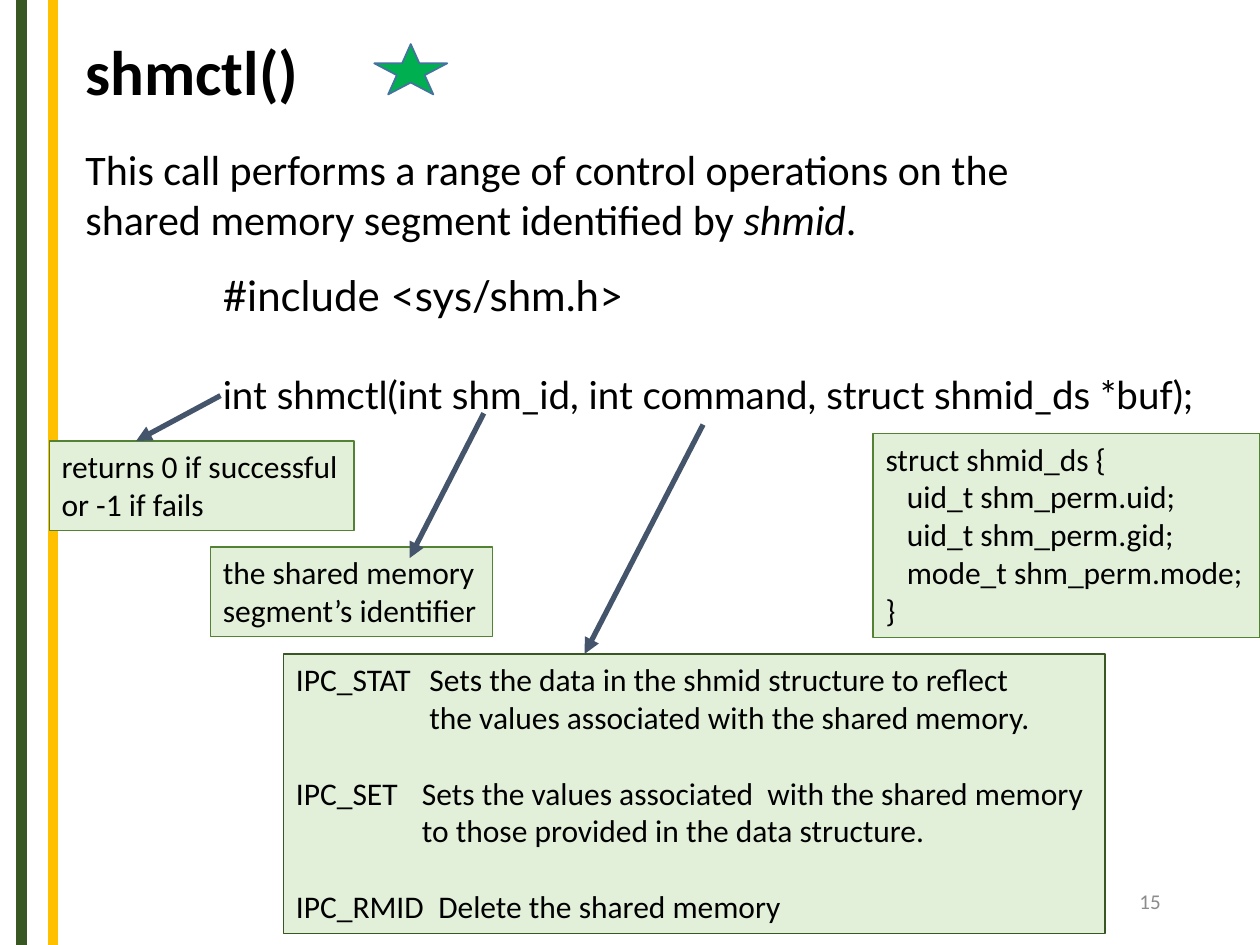
from lxml import etree
from pptx import Presentation
from pptx.dml.color import RGBColor
from pptx.enum.shapes import MSO_CONNECTOR, MSO_SHAPE
from pptx.enum.text import MSO_ANCHOR, PP_ALIGN
from pptx.oxml.ns import qn
from pptx.util import Inches, Pt

STRAIGHT = MSO_CONNECTOR.STRAIGHT
RECTANGLE, STAR = MSO_SHAPE.RECTANGLE, MSO_SHAPE.STAR_5_POINT
TOP, MIDDLE = MSO_ANCHOR.TOP, MSO_ANCHOR.MIDDLE
LEFT, RIGHT = PP_ALIGN.LEFT, PP_ALIGN.RIGHT

COLUMNS, ROWS = 100, 75
WIDTH, HEIGHT = Inches(10), Inches(7.5)
COLORS = {
    "text": "000000", "number": "8C8C8C", "arrow": "44546A",
    "dark green": "385723", "gold": "FFC000", "note fill": "E2F0D9",
    "note line": "548235", "star": "00B050", "star line": "43739E",
}

# Font formats
TITLE = {"name": "Calibri", "size": Pt(36), "bold": True}
BODY = {"name": "Calibri", "size": Pt(24)}
INCLUDE = {"name": "Lato", "size": Pt(24)}
PROTOTYPE = {"name": "Lato", "size": Pt(22)}
NOTE = {"name": "Calibri", "size": Pt(18)}
NUMBER = {"name": "Calibri", "size": Pt(12)}

# Each note: left, top, width, height in grid units, then its lines
NOTES = [
    ((69.3, 34.4, 30.7, 16.2),
     ["struct shmid_ds {", "   uid_t shm_perm.uid;", "   uid_t shm_perm.gid;",
      "   mode_t shm_perm.mode;", "}"]),
    ((16.7, 43.4, 22.4, 7.1), ["the shared memory", "segment’s identifier"]),
    ((3.9, 35, 24.2, 7.1), ["returns 0 if successful", "or -1 if fails"]),
]
# Each command: hanging indent in columns, then its text
COMMANDS = [
    (10.6, "IPC_STAT\tSets the data in the shmid structure to reflect\v"
           "the values associated with the shared memory."),
    (10, "IPC_SET\tSets the values associated  with the shared memory\v"
         "to those provided in the data structure."),
    (11.3, "IPC_RMID\tDelete the shared memory"),
]
ARROWS = [(38.4, 32.8, 32.5, 44.3), (55.8, 33.7, 46.4, 51.9),
          (17.5, 31.4, 10.8, 35)]


def across(columns):
    return round(WIDTH * columns / COLUMNS)


def down(rows):
    return round(HEIGHT * rows / ROWS)


def place(left, top, right, bottom):
    return across(left), down(top), across(right), down(bottom)


def color(name):
    return RGBColor.from_string(COLORS[name])


def apply(target, formats):
    for name, value in formats.items():
        setattr(target, name, value)


def write(box, lines, font, wrap=False, anchor=TOP, ink="text", **layout):
    """Fill a box; a line is a string or a list of (text, font extras)."""
    frame = box.text_frame
    apply(frame, {"word_wrap": wrap, "vertical_anchor": anchor})
    for index, line in enumerate(lines):
        para = frame.add_paragraph() if index else frame.paragraphs[0]
        apply(para, {"alignment": LEFT, **layout})
        if isinstance(line, str):
            para.text = line
            spans = [(span, {}) for span in para.runs]
        else:
            spans = []
            for text, extras in line:
                span = para.add_run()
                span.text = text
                spans.append((span, extras))
        for span, extras in spans:
            apply(span.font, {**font, **extras})
            span.font.color.rgb = color(ink)
    return frame.paragraphs


def add_text(page, area, lines, font, **options):
    return write(page.shapes.add_textbox(*place(*area)), lines, font, **options)


def add_figure(page, preset, area, fill, line, weight):
    figure = page.shapes.add_shape(preset, *place(*area))
    figure.shadow.inherit = False
    figure.fill.solid()
    figure.fill.fore_color.rgb = color(fill)
    figure.line.color.rgb = color(line)
    figure.line.width = Pt(weight)
    return figure


def add_note(page, area, lines, line="note line", **options):
    box = add_figure(page, RECTANGLE, area, "note fill", line, 0.75)
    return write(box, lines, NOTE, **options)


def add_line(page, ends, ink, weight, arrow=False):
    line = page.shapes.add_connector(STRAIGHT, *place(*ends))
    line.line.color.rgb = color(ink)
    line.line.width = Pt(weight)
    properties = line._element.spPr
    if arrow:
        etree.SubElement(properties.find(qn("a:ln")), qn("a:tailEnd"), type="triangle")
    etree.SubElement(properties, qn("a:effectLst"))


def add_commands(page):
    texts = [text for _, text in COMMANDS]
    paras = add_note(page, (22.5, 51.9, 65.2, 22.2), texts,
                     line="dark green", wrap=True)
    for para, (indent, _) in zip(paras, COMMANDS):
        settings = para._p.get_or_add_pPr()
        settings.set("marL", str(across(indent)))
        settings.set("indent", str(-across(indent)))
    for para in paras[1:]:
        para.space_before = Pt(21.6)


def main():
    deck = Presentation()
    apply(deck, {"slide_width": WIDTH, "slide_height": HEIGHT})
    page = deck.slides.add_slide(deck.slide_layouts[6])

    # Side stripes
    for column, ink in ((1.7, "dark green"), (4.2, "gold")):
        add_line(page, (column, 0, column, ROWS), ink, 6)

    # Title and introduction
    add_text(page, (5.8, 0.5, 86.2, 10.9), ["shmctl()"], TITLE,
             wrap=True, anchor=MIDDLE, line_spacing=0.9)
    add_figure(page, STAR, (29.7, 3.5, 5.8, 4), "star", "star line", 1)
    add_text(page, (5.8, 10.9, 76, 9.1),
             ["This call performs a range of control operations on the",
              [("shared memory segment identified by ", {}),
               ("shmid", {"italic": True}), (".", {})]], BODY)

    # Function declaration
    declaration = add_text(
        page, (16.7, 20.9, 83.2, 12.8),
        ["#include <sys/shm.h>",
         [("int shmctl(int shm_id, int command, struct shmid_ds *buf);",
           PROTOTYPE)]], INCLUDE)
    declaration[1].space_before = Pt(29)

    # Notes on the result and the arguments
    for area, lines in NOTES:
        add_note(page, area, lines)
    add_commands(page)
    for ends in ARROWS:
        add_line(page, ends, "arrow", 3, arrow=True)

    # Page number
    add_text(page, (70.6, 69.5, 22.5, 4), ["15"], NUMBER,
             wrap=True, anchor=MIDDLE, ink="number", alignment=RIGHT)

    deck.save("out.pptx")


if __name__ == "__main__":
    main()
